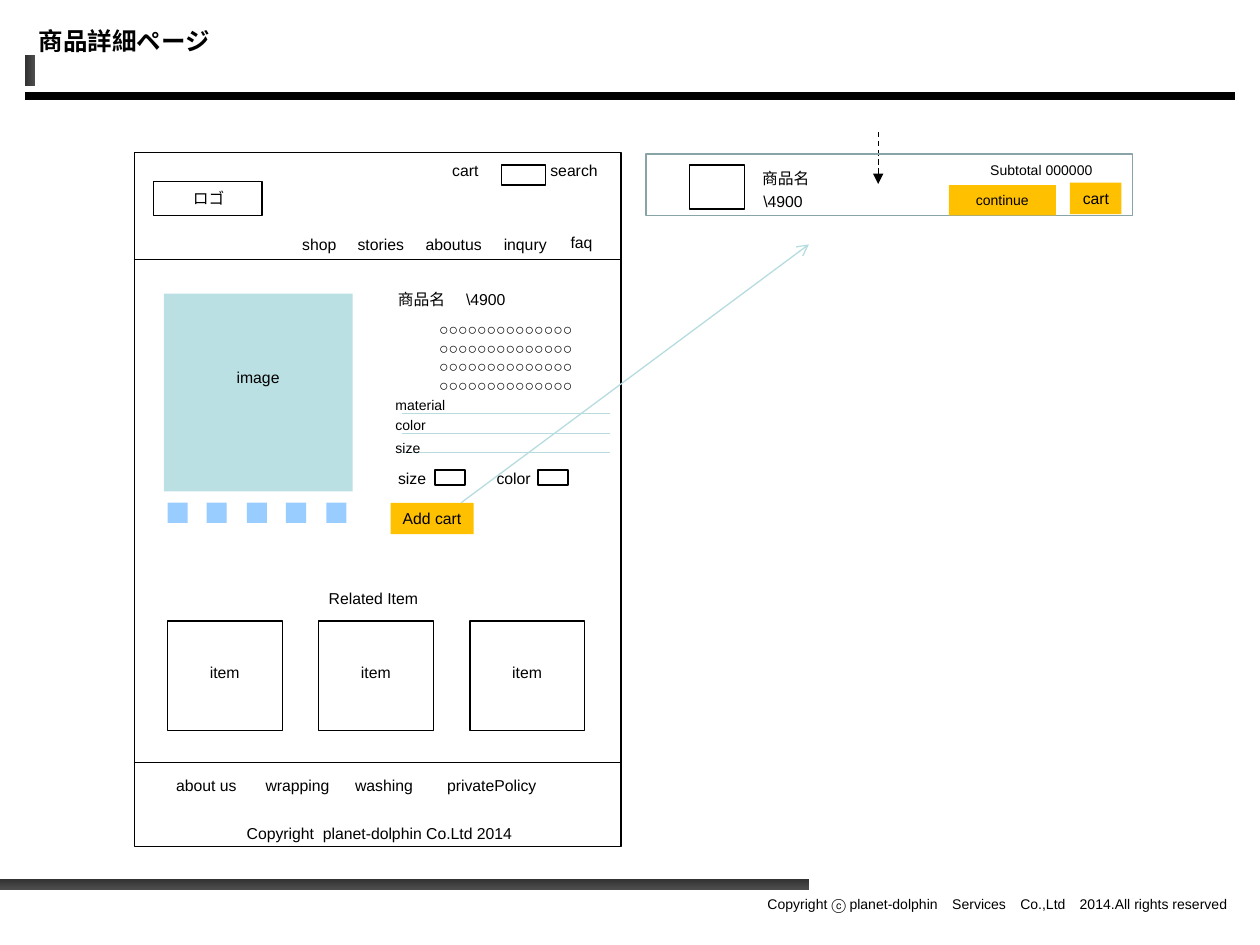
from lxml import etree
from pptx import Presentation, util as u
from pptx.dml.color import RGBColor
from pptx.enum import dml, shapes, text
from pptx.oxml import ns

BLACK = RGBColor(0, 0, 0)
WHITE = RGBColor(0xFF, 0xFF, 0xFF)
DARK = RGBColor(0x33, 0x33, 0x33)
GRAY = RGBColor(0x4D, 0x4D, 0x4D)
TEAL = RGBColor(0xBB, 0xE0, 0xE3)
RULE = RGBColor(0xB6, 0xDC, 0xDF)
FRAME = RGBColor(0x89, 0xA4, 0xA7)
BLUE = RGBColor(0x99, 0xCC, 0xFF)
GOLD = RGBColor(0xFF, 0xC0, 0x00)
PX = 9144
LEFT, MID, RIGHT = text.PP_ALIGN.LEFT, text.PP_ALIGN.CENTER, text.PP_ALIGN.RIGHT


def write(frame, words, size=9, font="Arial", east=None, bold=False,
          align=LEFT, wrap=False, anchor=text.MSO_ANCHOR.TOP, grow=True):
    """Fill a text frame, one paragraph per line, with slack on its loose side."""
    frame.word_wrap = wrap
    frame.vertical_anchor = anchor
    frame.margin_left = (4 if align == RIGHT else 10) * PX
    frame.margin_right = (4 if align == LEFT else 10) * PX
    if grow:
        frame.auto_size = text.MSO_AUTO_SIZE.SHAPE_TO_FIT_TEXT
    for i, line in enumerate(words.split("\n")):
        para = frame.add_paragraph() if i else frame.paragraphs[0]
        para.alignment = align
        run = para.add_run()
        run.text = line
        run.font.size = u.Pt(size)
        run.font.name = font
        run.font.bold = bold
        run.font.color.rgb = BLACK
        if east:
            mark = etree.SubElement(run.font._element, ns.qn("a:ea"))
            mark.set("typeface", east)


class Page:
    """Holds the style and the current slide."""

    def __init__(self, wide, high):
        self.deck = Presentation()
        self.deck.slide_width, self.deck.slide_height = wide * PX, high * PX
        self.slide = self.deck.slides.add_slide(self.deck.slide_layouts[6])
        self.items = self.slide.shapes

    def box(self, x, y, w, h, fill=None, line=None, width=0.75, words=None, **form):
        rect = self.items.add_shape(
            shapes.MSO_SHAPE.RECTANGLE, x * PX, y * PX, w * PX, h * PX)
        rect.shadow.inherit = False
        if fill is None:
            rect.fill.background()
        else:
            rect.fill.solid()
            rect.fill.fore_color.rgb = fill
        if line is None:
            rect.line.fill.background()
        else:
            rect.line.color.rgb = line
            rect.line.width = u.Pt(width)
        if words:
            write(rect.text_frame, words, **form)
        return rect

    def shade(self, x, y, w, h, angle):
        fill = self.box(x, y, w, h).fill
        fill.gradient()
        fill.gradient_angle = (360 - angle) % 360
        for stop, tone in zip(fill.gradient_stops, (DARK, GRAY)):
            stop.color.rgb = tone

    def label(self, x, y, w, h, words, **form):
        note = self.items.add_textbox(x * PX, y * PX, w * PX, h * PX)
        write(note.text_frame, words, **form)
        return note

    def line(self, x1, y1, x2, y2, color=BLACK, width=0.75, dash=None, tip=None):
        rule = self.items.add_connector(
            shapes.MSO_CONNECTOR.STRAIGHT, x1 * PX, y1 * PX, x2 * PX, y2 * PX)
        rule.line.color.rgb = color
        rule.line.width = u.Pt(width)
        if dash:
            rule.line.dash_style = dash
        props = rule._element.spPr
        if tip:
            end = etree.SubElement(props.find(ns.qn("a:ln")), ns.qn("a:tailEnd"))
            end.set("type", tip)
        etree.SubElement(props, ns.qn("a:effectLst"))

    def group(self, *parts):
        self.items.add_group_shape(parts)


def frame(page):
    """Draw the title, the bars and the footer."""
    page.line(20, 76, 980, 76, width=4.5)
    page.label(555, 706, 429, 24,
               "Copyright ⓒ planet-dolphin　Services　Co.,Ltd　2014.All rights reserved",
               size=8, align=RIGHT, wrap=True)
    page.shade(0, 698, 642, 8, 90)
    page.shade(20, 44, 8, 24, 0)
    page.label(21, 13, 606, 38, "商品詳細ページ", size=14, font="Noto Sans CJK JP",
               east="Noto Sans CJK JP", bold=True, wrap=True,
               anchor=text.MSO_ANCHOR.MIDDLE, grow=False)


def header(page):
    """Draw the logo, the search field and the menu."""
    page.box(107, 121, 386, 551, WHITE, BLACK)
    page.line(106, 206, 492, 206)
    page.group(page.box(122, 144, 86, 27, WHITE, BLACK),
               page.label(143, 145, 45, 25, "ロゴ", align=RIGHT))
    for x, y, w, words in (
            (230, 181, 47, "shop"), (274, 181, 57, "stories"),
            (328, 181, 64, "aboutus"), (390, 181, 54, "inqury"),
            (443, 180, 37, "faq"), (349, 123, 41, "cart"), (427, 123, 57, "search")):
        page.label(x, y, w, 25, words)
    page.box(398, 131, 35, 16, WHITE, BLACK)


def product(page):
    """Draw the photo area and the product details."""
    page.box(130, 233, 150, 157, TEAL)
    page.label(178, 287, 54, 25, "image")
    for i in range(5):
        page.box(133 + i * 63 // 2, 399, 16, 16, BLUE)
    page.label(306, 225, 57, 25, "商品名")
    page.label(360, 225, 51, 25, "\\4900", align=RIGHT)
    for y in (249, 278):
        page.label(339, y, 125, 40, "\n".join(["○" * 14] * 2), align=RIGHT)
    for y, top, w, words in (
            (328, 310, 59, "material"), (344, 326, 44, "color"), (359, 344, 40, "size")):
        page.line(319, y, 484, y, RULE)
        page.label(304, top, w, 24, words, size=8)
    for x, w, field, words in ((306, 42, 345, "size"), (384, 47, 427, "color")):
        page.label(x, 367, w, 25, words, align=RIGHT)
        page.box(field, 373, 24, 12, line=BLACK, width=1)
    page.box(310, 399, 66, 25, GOLD, words="Add cart", align=RIGHT)


def related(page):
    """Draw the related items and the bottom links."""
    page.label(251, 462, 91, 25, "Related Item")
    for x in range(133, 374, 120):
        page.box(x, 493, 91, 87, WHITE, BLACK)
        page.label(x + 24, 521, 43, 25, "item", align=RIGHT)
    page.line(106, 605, 492, 605, width=0.5)
    for x, w, words in ((130, 68, "about us"), (201, 70, "wrapping"),
                        (272, 66, "washing"), (345, 91, "privatePolicy")):
        page.label(x, 611, w, 25, words)
    page.label(186, 649, 230, 25, "Copyright  planet-dolphin Co.Ltd 2014")


def cart(page):
    """Draw the cart panel and the arrows that lead to it."""
    page.line(697, 105, 697, 146, dash=dml.MSO_LINE.DASH, tip="triangle")
    page.box(513, 122, 386, 49, line=FRAME, width=1)
    page.box(547, 131, 44, 35, WHITE, BLACK)
    page.label(595, 129, 57, 25, "商品名")
    page.label(596, 147, 51, 25, "\\4900", align=RIGHT)
    page.label(776, 123, 101, 24, "Subtotal 000000", size=8)
    page.box(753, 147, 85, 24, GOLD, words="continue", size=8, align=MID, wrap=True)
    page.box(849, 145, 41, 25, GOLD, words="cart", align=RIGHT)
    page.line(366, 399, 642, 194, RULE, tip="arrow")


def main():
    """Build the slide and save it."""
    page = Page(1000, 750)
    for part in (frame, header, product, related, cart):
        part(page)
    page.deck.save("out.pptx")


if __name__ == "__main__":
    main()
